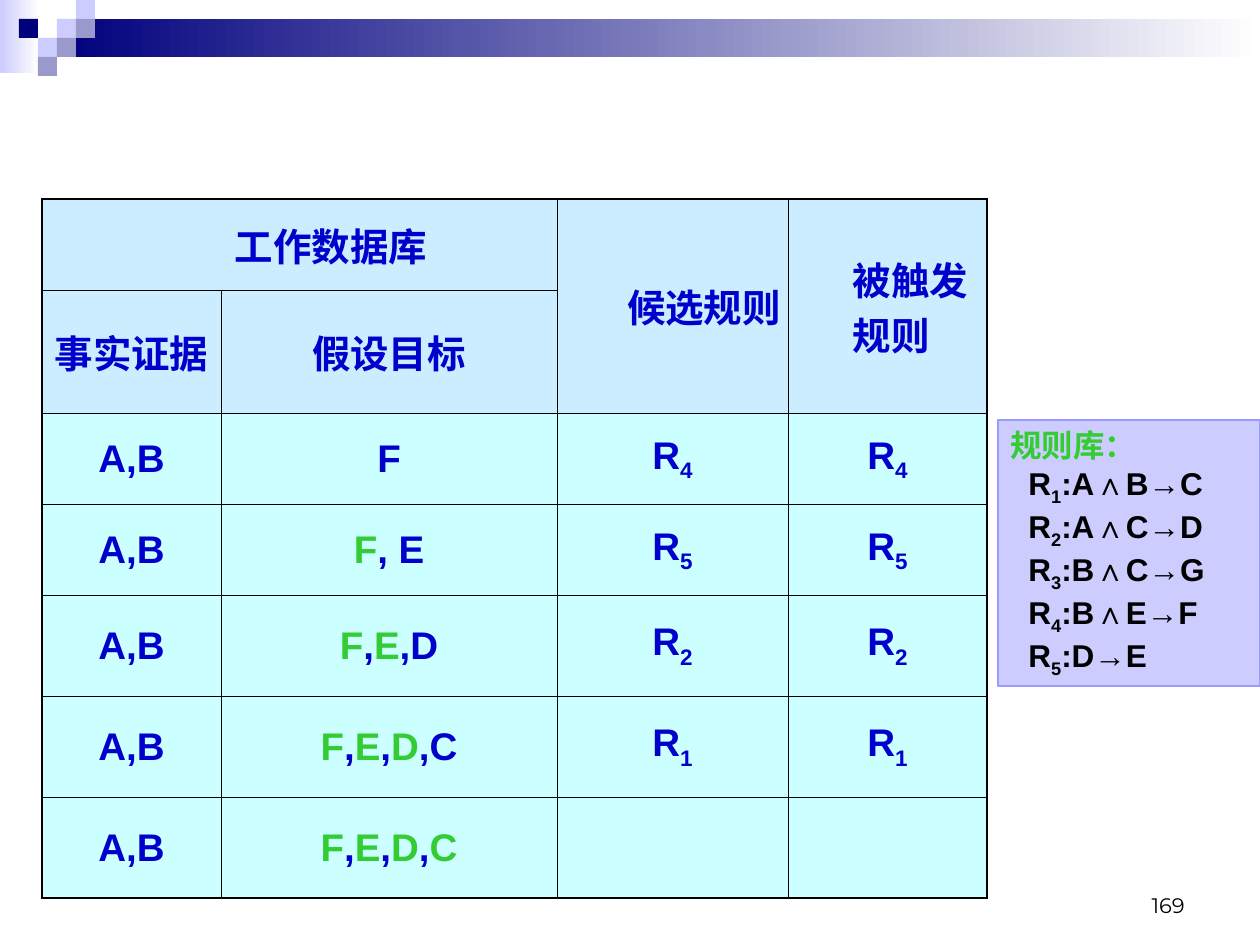
from lxml import etree
from pptx import Presentation
from pptx.dml.color import RGBColor
from pptx.enum.shapes import MSO_SHAPE
from pptx.enum.text import MSO_ANCHOR, PP_ALIGN
from pptx.oxml.ns import qn
from pptx.util import Emu, Pt

RECT = MSO_SHAPE.RECTANGLE
LEFT, MID, RIGHT = PP_ALIGN.LEFT, PP_ALIGN.CENTER, PP_ALIGN.RIGHT
TOP, CENTER, BOTTOM = MSO_ANCHOR.TOP, MSO_ANCHOR.MIDDLE, MSO_ANCHOR.BOTTOM

HUES = {
    "black": "000000", "white": "FFFFFF", "navy": "00007D",
    "blue": "0000CC", "green": "33CC33", "lilac": "CCCCFF",
    "mauve": "9999CC", "edge": "9999FF", "head": "CCECFF", "body": "CCFFFF",
}
TILE = 19
TILES = [(3, 1, "lilac"), (4, 0, "lilac"), (4, 1, "mauve"), (2, 2, "lilac"),
         (1, 1, "navy"), (3, 2, "mauve"), (2, 3, "mauve")]
COLS = [179, 336, 231, 199]
ROWS = [91, 97, 91, 91, 101, 101, 101]
INDENT = 63
HEADS = [(0, 0, "工作数据库", MID, INDENT), (0, 2, "候选规则", MID, INDENT),
         (0, 3, "被触发规则", LEFT, INDENT), (1, 0, "事实证据", MID, 0),
         (1, 1, "假设目标", MID, 0)]
STEPS = [("F", "R|4|"), ("|F|, E", "R|5|"), ("|F|,|E|,D", "R|2|"),
         ("|F|,|E|,|D|,C", "R|1|"), ("|F|,|E|,|D|,|C|", "")]
RULES = ["A∧B→C", "A∧C→D", "B∧C→G", "B∧E→F", "D→E"]


def px(count):
    """Turn pixels into EMU."""
    return Emu(count * 914400 // 126)


def hue(name):
    """Look up a named colour."""
    return RGBColor.from_string(HUES[name])


def style(font, size, tint, bold=True, face="Arial"):
    """Set the look of a font."""
    font.size, font.bold, font.name = Pt(size), bold, face
    font.color.rgb = hue(tint)


def write(par, text, size, tint, align=MID, indent=0):
    """Write text whose parts between bars are green letters or low digits."""
    par.alignment = align
    par._p.get_or_add_pPr().set("marL", str(px(indent)))
    par._p.get_or_add_pPr().set("indent", "0")
    for place, part in enumerate(text.split("|")):
        if not part:
            continue
        run = par.add_run()
        run.text = part
        marked = place % 2 == 1
        low = marked and part.isdigit()
        style(run.font, size, "green" if marked and not low else tint)
        if low:
            run._r.get_or_add_rPr().set("baseline", "-25000")


def block(slide, box, tint, fade=False):
    """Add a plain or fading rectangle."""
    shape = slide.shapes.add_shape(RECT, *map(px, box))
    shape.shadow.inherit = False
    shape.line.fill.background()
    if fade:
        shape.fill.gradient()
        shape.fill.gradient_angle = 0
        for stop, name in zip(shape.fill.gradient_stops, (tint, "white")):
            stop.color.rgb = hue(name)
    else:
        shape.fill.solid()
        shape.fill.fore_color.rgb = hue(tint)
    return shape


def banner(slide):
    """Draw the fading bar and its tiles."""
    block(slide, (0, 0, 39, 73), "lilac", True)
    block(slide, (3 * TILE, TILE, 1203, 2 * TILE), "navy", True)
    for col, row, tint in TILES:
        block(slide, (col * TILE, row * TILE, TILE, TILE), tint)


def frame(cell, row, col):
    """Draw cell borders, heavy along the rim of the table."""
    rims = {"lnL": col == 0, "lnR": col == len(COLS) - 1,
            "lnT": row == 0, "lnB": row == len(ROWS) - 1}
    props = cell._tc.get_or_add_tcPr()
    for place, (tag, rim) in enumerate(rims.items()):
        line = etree.Element(qn("a:" + tag), w=str(Pt(1.08 if rim else 0.45)))
        fill = etree.SubElement(line, qn("a:solidFill"))
        etree.SubElement(fill, qn("a:srgbClr"), val=HUES["black"])
        props.insert(place, line)


def grid(slide):
    """Build the table of reasoning steps."""
    table = slide.shapes.add_table(len(ROWS), len(COLS), px(42), px(199),
                                   px(sum(COLS)), px(sum(ROWS))).table
    table.first_row = table.horz_banding = False
    for col, width in zip(table.columns, COLS):
        col.width = px(width)
    for row, height in zip(table.rows, ROWS):
        row.height = px(height)
    for row in range(len(ROWS)):
        for col in range(len(COLS)):
            cell = table.cell(row, col)
            cell.fill.solid()
            cell.fill.fore_color.rgb = hue("head" if row < 2 else "body")
            cell.vertical_anchor = CENTER
            cell.margin_left = cell.margin_right = px(2)
            cell.margin_top = cell.margin_bottom = px(6)
            frame(cell, row, col)
    table.cell(0, 0).merge(table.cell(0, 1))
    for col in (2, 3):
        table.cell(0, col).merge(table.cell(1, col))
    for row, col, text, align, indent in HEADS:
        par = table.cell(row, col).text_frame.paragraphs[0]
        write(par, text, 22, "blue", align, indent)
    for row, (goal, rule) in enumerate(STEPS, 2):
        for col, text in enumerate(("A,B", goal, rule, rule)):
            par = table.cell(row, col).text_frame.paragraphs[0]
            write(par, text, 22, "blue")


def rules(slide):
    """Add the box that lists the rules."""
    shape = block(slide, (998, 420, 262, 266), "lilac")
    shape.line.color.rgb = hue("edge")
    shape.line.width = Pt(0.75)
    body = shape.text_frame
    body.word_wrap = True
    body.vertical_anchor = TOP
    write(body.paragraphs[0], "规则库：", 18, "green", LEFT)
    for count, rule in enumerate(RULES, 1):
        text = f"R|{count}|:{rule}"
        write(body.add_paragraph(), text, 18, "black", LEFT, 18)


def number(slide):
    """Add the page number."""
    body = slide.shapes.add_textbox(*map(px, (903, 861, 294, 63))).text_frame
    body.word_wrap = True
    body.vertical_anchor = BOTTOM
    par = body.paragraphs[0]
    par.text = "169"
    par.alignment = RIGHT
    style(par.runs[0].font, 12, "black", False, "Montserrat")


def main():
    """Build and save the slide."""
    deck = Presentation()
    deck.slide_width, deck.slide_height = px(1260), px(945)
    slide = deck.slides.add_slide(deck.slide_layouts[6])
    banner(slide)
    grid(slide)
    rules(slide)
    number(slide)
    deck.save("out.pptx")


if __name__ == "__main__":
    main()
